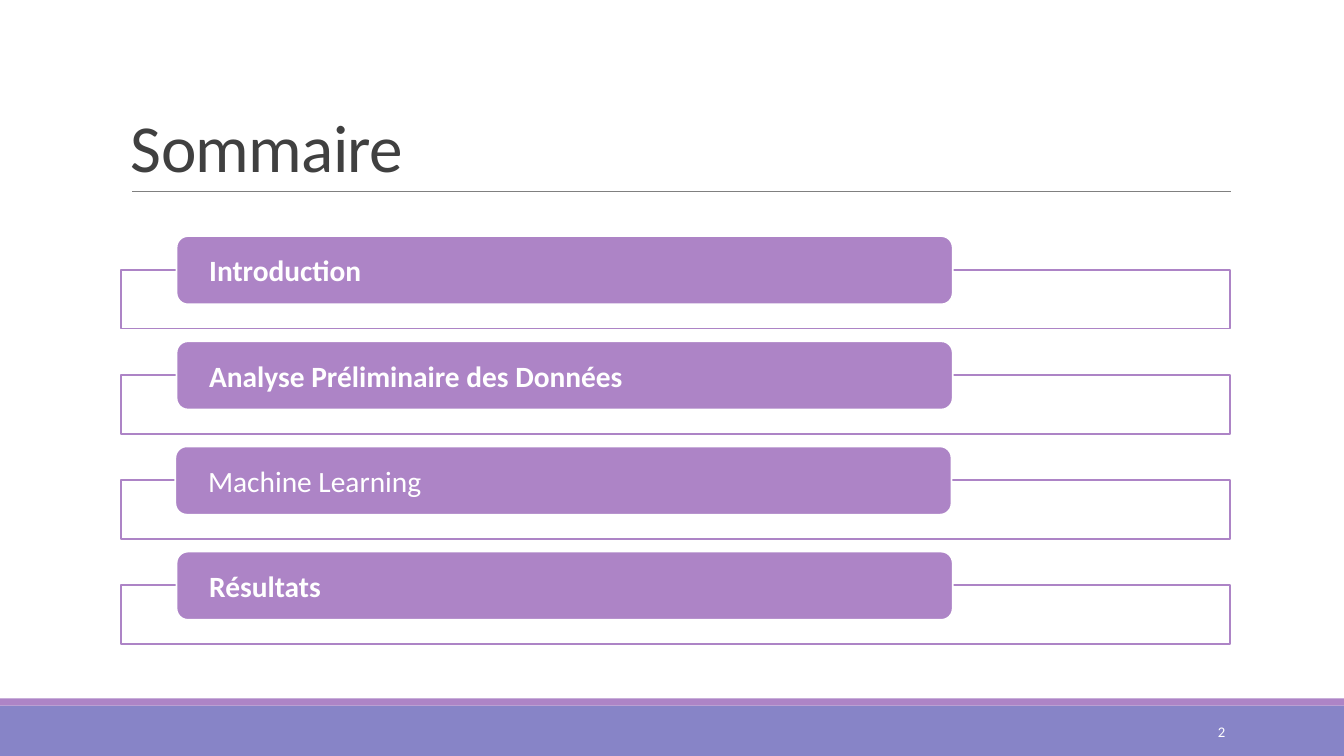
import pptx
import pptx.dml.color
import pptx.enum.shapes
import pptx.enum.text
import pptx.oxml
import pptx.util
from pptx.util import Cm

SHAPE = pptx.enum.shapes.MSO_SHAPE
ALIGN = pptx.enum.text.PP_ALIGN
ANCHOR = pptx.enum.text.MSO_ANCHOR
COLORS = {"white": "FFFFFF", "violet": "AD84C6", "blue": "8784C7",
          "ink": "404040", "gray": "808080"}
WIDE, HIGH = 33.87, 19.05
TOPICS = [("Introduction", True, 4.45),
          ("Analyse Préliminaire des Données", True, 4.45),
          ("Machine Learning", False, 4.42),
          ("Résultats", True, 4.45)]
FIRST, STEP = 5.95, 2.65


def color(name):
    return pptx.dml.color.RGBColor.from_string(COLORS[name])


def write(frame, text, size=21, ink="white", bold=False, align=ALIGN.LEFT,
          anchor=ANCHOR.MIDDLE, inset=(0.25, 0.13), lead=None, track=None):
    """Put one formatted paragraph in a text frame."""
    frame.word_wrap = True
    frame.vertical_anchor = anchor
    frame.margin_left = frame.margin_right = Cm(inset[0])
    frame.margin_top = frame.margin_bottom = Cm(inset[1])
    para = frame.paragraphs[0]
    para.alignment = align
    if lead:
        para.line_spacing = lead
    run = para.add_run()
    run.text = text
    font = run.font
    font.name, font.size, font.bold = "Calibri", pptx.util.Pt(size), bold
    font.color.rgb = color(ink)
    if track:
        run._r.get_or_add_rPr().set("spc", str(round(track * 100)))


class Deck:
    def __init__(self):
        self.show = pptx.Presentation()
        self.show.slide_width, self.show.slide_height = Cm(WIDE), Cm(HIGH)
        self.slide = self.show.slides.add_slide(self.show.slide_layouts[6])

    def box(self, x, y, w, h, fill, line=None, kind=SHAPE.RECTANGLE):
        shape = self.slide.shapes.add_shape(kind, Cm(x), Cm(y), Cm(w), Cm(h))
        shape.shadow.inherit = False
        shape.fill.solid()
        shape.fill.fore_color.rgb = color(fill)
        if line:
            shape.line.color.rgb = color(line)
            shape.line.width = pptx.util.Pt(1.25)
        else:
            shape.line.fill.background()
        return shape

    def rule(self, x, y, end):
        line = self.slide.shapes.add_connector(
            pptx.enum.shapes.MSO_CONNECTOR.STRAIGHT, Cm(x), Cm(y), Cm(end), Cm(y))
        line.line.color.rgb = color("gray")
        line.line.width = pptx.util.Pt(0.5)
        line._element.spPr.append(pptx.oxml.parse_xml(
            '<a:effectLst xmlns:a="http://schemas.openxmlformats.org/drawingml/2006/main"/>'))

    def text(self, x, y, w, h, words, **style):
        area = self.slide.shapes.add_textbox(Cm(x), Cm(y), Cm(w), Cm(h))
        write(area.text_frame, words, **style)

    def topic(self, x, y, words, bold):
        """Draw an outlined panel with a titled pill over its top edge."""
        self.box(3.05, y + 0.85, 27.94, 1.48, "white", "violet")
        pill = self.box(x, y, 19.56, 1.72, "violet", "white",
                        SHAPE.ROUNDED_RECTANGLE)
        write(pill.text_frame, words, bold=bold, inset=(0.74, 0))


def main():
    deck = Deck()
    deck.box(0, 17.78, WIDE, 1.27, "blue")
    deck.box(0, 17.6, WIDE, 0.18, "violet")
    deck.rule(3.33, 4.83, 31.01)
    deck.text(3.05, 0.79, 27.94, 4.04, "Sommaire", size=48, ink="ink",
              anchor=ANCHOR.BOTTOM, lead=0.85, track=-0.5)
    for row, (words, bold, x) in enumerate(TOPICS):
        deck.topic(x, FIRST + row * STEP, words, bold)
    deck.text(27.5, 17.94, 3.63, 1.01, "2", size=10.5, align=ALIGN.RIGHT)
    deck.show.save("out.pptx")


if __name__ == "__main__":
    main()
